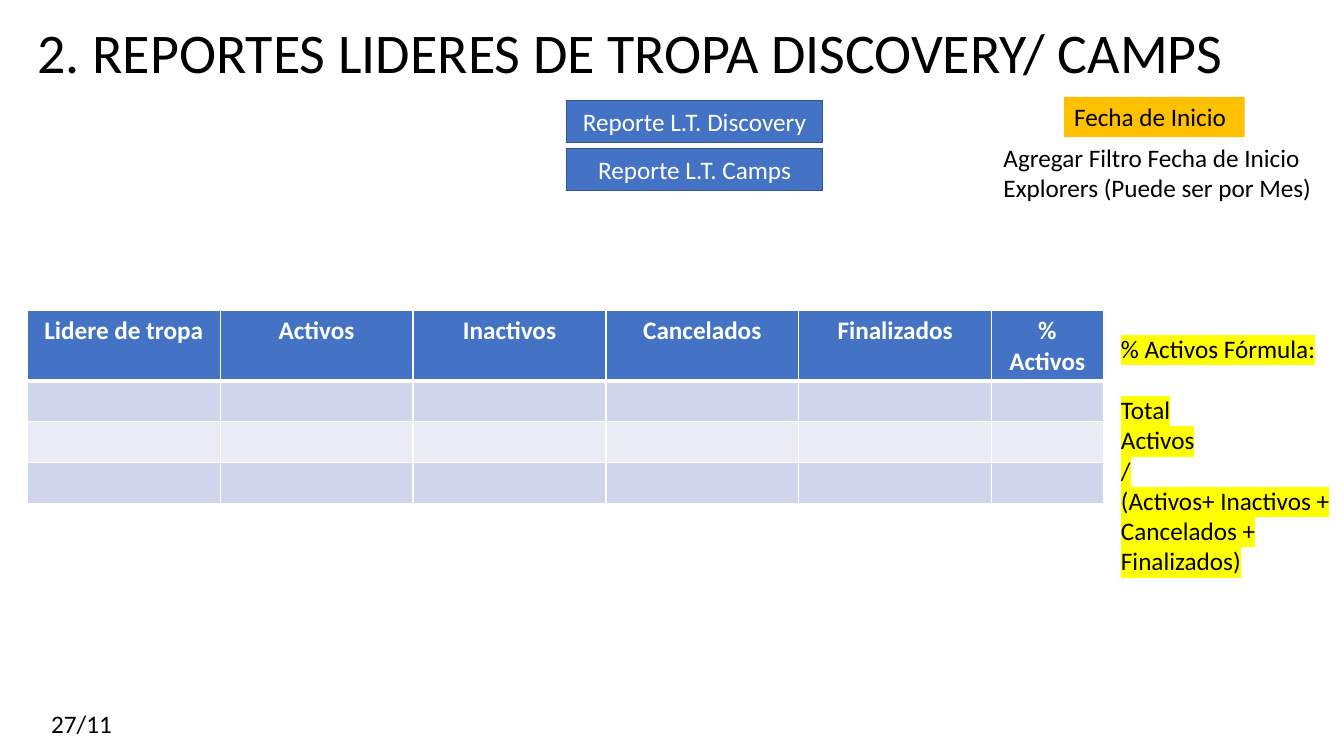
from lxml.etree import SubElement
from pptx import Presentation
from pptx.dml.color import RGBColor
from pptx.enum.shapes import MSO_SHAPE
from pptx.enum.text import MSO_ANCHOR, PP_ALIGN
from pptx.oxml import parse_xml
from pptx.oxml.ns import nsdecls, qn
from pptx.util import Cm, Pt

BLACK = RGBColor(0x00, 0x00, 0x00)
WHITE = RGBColor(0xFF, 0xFF, 0xFF)
BLUE = RGBColor(0x44, 0x72, 0xC4)
NAVY = RGBColor(0x32, 0x54, 0x91)
AMBER = RGBColor(0xFF, 0xC0, 0x00)
YELLOW = RGBColor(0xFF, 0xFF, 0x00)
BANDS = [RGBColor(0xCF, 0xD5, 0xEA), RGBColor(0xE9, 0xEB, 0xF5)]
FONT = "Calibri"

TITLE = "2. REPORTES LIDERES DE TROPA DISCOVERY/ CAMPS"
BUTTONS = ["Reporte L.T. Discovery", "Reporte L.T. Camps"]
FILTER = "Fecha de Inicio"
HINT = "Agregar Filtro Fecha de Inicio Explorers (Puede ser por Mes)"
HEADS = ["Lidere de tropa", "Activos", "Inactivos", "Cancelados",
         "Finalizados", "% Activos"]
FORMULA = ["% Activos Fórmula:", "Total", "Activos", "/",
           "(Activos+ Inactivos + Cancelados + Finalizados)"]
DATE = "27/11"
WIDTHS = [4.86] * 5 + [2.81]
HEIGHTS = [1.75] + [1.03] * 3


def write(frame, lines, color=BLACK, size=18, align=PP_ALIGN.LEFT, bold=False):
    frame.text = "\n".join(lines)
    for para in frame.paragraphs:
        para.alignment = align
        for run in para.runs:
            font = run.font
            font.name, font.size, font.bold = FONT, Pt(size), bold
            font.color.rgb = color


def add_text(slide, box, lines, wrap=True):
    frame = slide.shapes.add_textbox(*map(Cm, box)).text_frame
    frame.word_wrap = wrap
    write(frame, lines)
    return frame


def add_box(slide, box, fill, line=None):
    shape = slide.shapes.add_shape(MSO_SHAPE.RECTANGLE, *map(Cm, box))
    shape.shadow.inherit = False
    shape.fill.solid()
    shape.fill.fore_color.rgb = fill
    if line is None:
        shape.line.fill.background()
    else:
        shape.line.color.rgb = line
        shape.line.width = Pt(1)
    return shape.text_frame


def mark(run, color):
    """Highlight a run; the schema wants it right after the text fill."""
    glow = parse_xml(f'<a:highlight {nsdecls("a")}>'
                     f'<a:srgbClr val="{color}"/></a:highlight>')
    run.font._element.find(qn("a:solidFill")).addnext(glow)


def edge(cell, head):
    """Draw white cell borders, thicker below the header and above the body."""
    props = cell._tc.get_or_add_tcPr()
    for side in "LRTB":
        thick = side == "B" and head == 0 or side == "T" and head == 1
        line = SubElement(props, qn(f"a:ln{side}"), w=str(Pt(3 if thick else 1)))
        fill = SubElement(line, qn("a:solidFill"))
        SubElement(fill, qn("a:srgbClr"), val=str(WHITE))


def add_grid(slide, left, top):
    grid = slide.shapes.add_table(len(HEIGHTS), len(WIDTHS), Cm(left), Cm(top),
                                  Cm(sum(WIDTHS)), Cm(sum(HEIGHTS))).table
    for col, width in zip(grid.columns, WIDTHS):
        col.width = Cm(width)
    for i, height in enumerate(HEIGHTS):
        grid.rows[i].height = Cm(height)
        for j, head in enumerate(HEADS):
            cell = grid.cell(i, j)
            edge(cell, i)
            cell.fill.solid()
            cell.fill.fore_color.rgb = BANDS[(i - 1) % 2] if i else BLUE
            if i == 0:
                write(cell.text_frame, [head], WHITE,
                      align=PP_ALIGN.CENTER, bold=True)


def main():
    deck = Presentation()
    deck.slide_width, deck.slide_height = Cm(33.87), Cm(19.05)
    slide = deck.slides.add_slide(deck.slide_layouts[5])

    title = slide.shapes.title
    title.left, title.top, title.width, title.height = map(
        Cm, (0.69, 0.51, 31.93, 2.03))
    title.text_frame.vertical_anchor = MSO_ANCHOR.TOP
    write(title.text_frame, [TITLE], size=40)
    title.text_frame.paragraphs[0].line_spacing = 0.9

    formula = add_text(slide, (28, 8.28, 5.94, 7.19), FORMULA)
    formula.paragraphs[1].space_before = Pt(22)
    for para in formula.paragraphs:
        mark(para.runs[0], YELLOW)

    for i, label in enumerate(BUTTONS):
        frame = add_box(slide, (14.28, 2.53 + 1.21 * i, 6.45, 1.06), BLUE, NAVY)
        frame.vertical_anchor = MSO_ANCHOR.MIDDLE
        write(frame, [label], WHITE, align=PP_ALIGN.CENTER)

    frame = add_box(slide, (26.82, 2.44, 4.55, 1.02), AMBER)
    frame.vertical_anchor = MSO_ANCHOR.TOP
    write(frame, [FILTER])

    add_text(slide, (25.04, 3.45, 8.86, 1.8), [HINT])
    add_grid(slide, 0.69, 7.82)
    add_text(slide, (1.04, 17.73, 2.06, 1.02), [DATE], wrap=False)
    deck.save("out.pptx")


if __name__ == "__main__":
    main()
